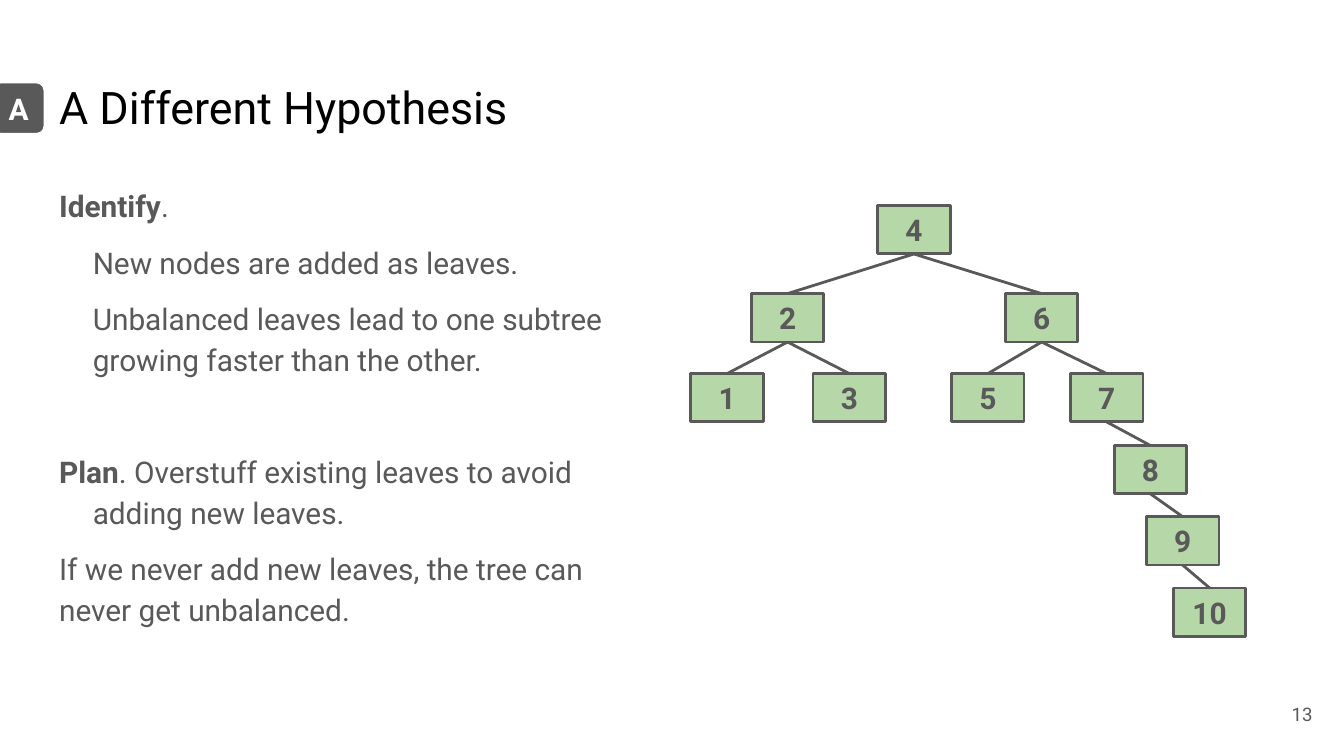
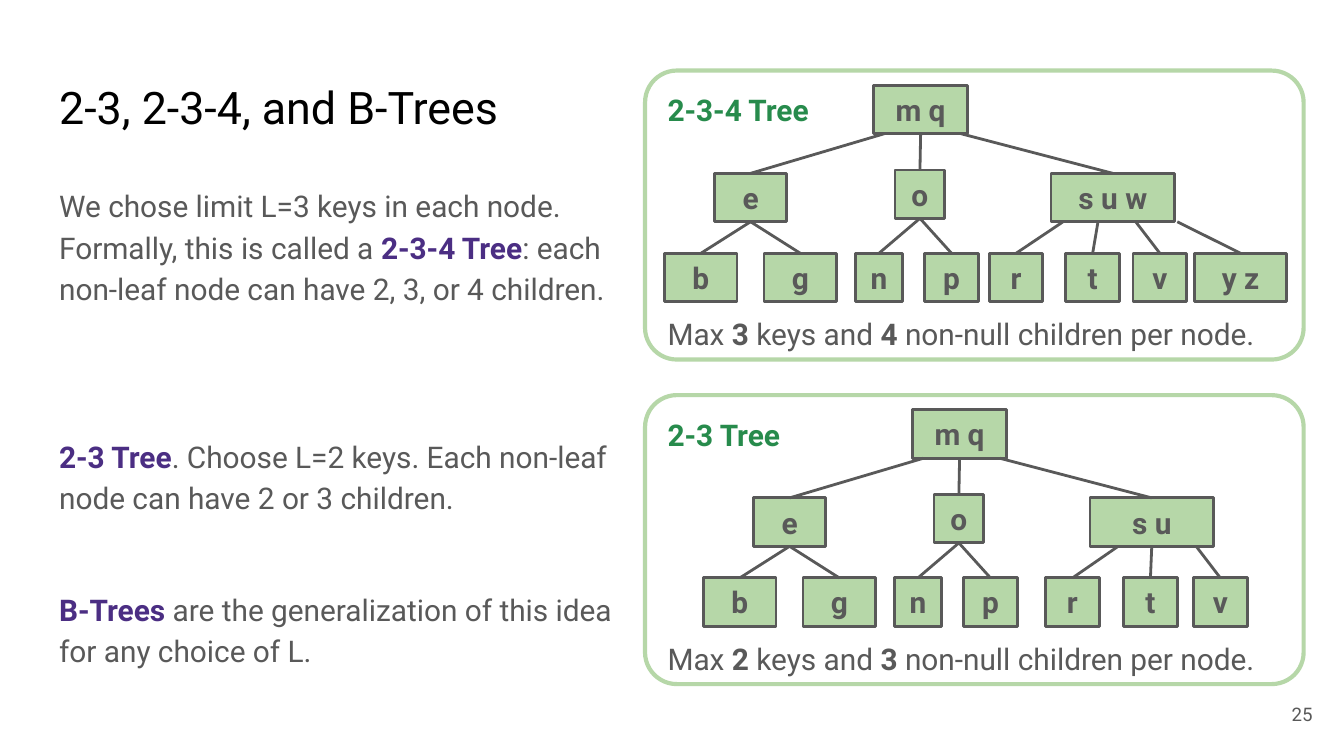
import collections

import lxml.etree
import pptx
import pptx.dml.color
import pptx.enum.shapes
import pptx.enum.text
import pptx.oxml.ns
import pptx.util

RGB = pptx.dml.color.RGBColor
ALIGN = pptx.enum.text.PP_ALIGN
ANCHOR = pptx.enum.text.MSO_ANCHOR
SHAPE = pptx.enum.shapes.MSO_SHAPE
Pt = pptx.util.Pt
qn = pptx.oxml.ns.qn

BLACK = RGB(0x00, 0x00, 0x00)
WHITE = RGB(0xFF, 0xFF, 0xFF)
GRAY = RGB(0x59, 0x59, 0x59)
LIGHT_GREEN = RGB(0xB6, 0xD7, 0xA8)
GREEN = RGB(0x27, 0x8B, 0x4C)
PURPLE = RGB(0x4B, 0x2E, 0x83)

FONT = "Roboto"
EMU_PER_PX = 4572  # 200 px to the inch
SLIDE_W, SLIDE_H = 2000, 1125
TITLE_BOX = (68, 98, 864, 126)
BODY_BOX = (68, 252, 864, 748)
NUMBER_BOX = (1853, 1020, 120, 86)
BADGE_BOX = (-12, 121, 80, 80)
PANEL_W, PANEL_H = 980, 430
NODE_H = 72
INDENT = 50
GAP = 8          # points between paragraphs
BLANK_LINE = 22  # points taken by one line of body text


def gap(lines):
    """Space before a paragraph that stands after some empty lines."""
    return GAP + lines * (BLANK_LINE + GAP)


# A node hangs from its parent; exit is the px from the parent's left edge
# where the line starts, or None for the middle.
Node = collections.namedtuple("Node", "label x y w parent exit",
                              defaults=(108, None, None))

SEARCH_TREE = [
    Node("4", 278, 0),
    Node("2", 90, 131, parent="4"),
    Node("6", 468, 131, parent="4"),
    Node("1", 0, 250, parent="2"),
    Node("3", 182, 250, parent="2"),
    Node("5", 388, 250, parent="6"),
    Node("7", 565, 250, parent="6"),
    Node("8", 630, 357, parent="7"),
    Node("9", 678, 463, parent="8"),
    Node("10", 718, 569, parent="9"),
]


def b_tree(shift, right_node, right_leaves):
    """Nodes of a panel's tree; only the right subtree differs by panel."""
    leaf_y = 272
    return [
        Node("m q", 340 + shift, 22, 140),
        Node("e", 103 + shift, 153, parent="m q", exit=16),
        Node("o", 372 + shift, 148, 74, parent="m q"),
        Node(right_node, 604 + shift, 153, 184, parent="m q", exit=130),
        Node("b", 29 + shift, leaf_y, parent="e"),
        Node("g", 177 + shift, leaf_y, parent="e"),
        Node("n", 313 + shift, leaf_y, 70, parent="o"),
        Node("p", 416 + shift, leaf_y, 80, parent="o"),
    ] + [Node(label, x, leaf_y, w, right_node, start)
         for label, x, w, start in right_leaves]


TREE_234 = b_tree(0, "s u w", [("r", 512, 80, 18), ("t", 626, 80, 70),
                               ("v", 726, 80, 126), ("y z", 818, 136, 188)])
TREE_23 = b_tree(58, "s u", [("r", 596, 80, 42), ("t", 712, 80, None),
                             ("v", 816, 80, 158)])


def px(*values):
    return [v * EMU_PER_PX for v in values]


def setup_frame(shape, anchor=ANCHOR.TOP, inset_y=20):
    tf = shape.text_frame
    tf.word_wrap = True
    tf.auto_size = pptx.enum.text.MSO_AUTO_SIZE.NONE
    tf.vertical_anchor = anchor
    tf.margin_left, tf.margin_right = px(20, 20)
    tf.margin_top, tf.margin_bottom = px(inset_y, inset_y)
    return tf


def add_text(tf, text, size=16, color=GRAY, bold=False, bold_color=None,
             align=ALIGN.LEFT, spacing=None, before=0, left=0, hang=0):
    """Add one paragraph; parts between ** are bold, in bold_color if given."""
    p = tf.paragraphs[0]
    if p.runs:
        p = tf.add_paragraph()
    pPr = p._p.get_or_add_pPr()
    pPr.set("marL", str(left * EMU_PER_PX))
    pPr.set("indent", str(-hang * EMU_PER_PX))
    lxml.etree.SubElement(pPr, qn("a:buNone"))
    p.alignment = align
    p.space_before = Pt(before)
    if spacing:
        p.line_spacing = spacing
    for i, part in enumerate(text.split("**")):
        if not part:
            continue
        marked = i % 2 == 1
        r = p.add_run()
        r.text = part
        r.font.name = FONT
        r.font.size = Pt(size)
        r.font.bold = bold or marked
        r.font.color.rgb = bold_color if marked and bold_color else color


def add_box(shapes, kind, box, fill, line, weight):
    sp = shapes.add_shape(kind, *px(*box))
    sp.shadow.inherit = False
    if fill is None:
        sp.fill.background()
    else:
        sp.fill.solid()
        sp.fill.fore_color.rgb = fill
    sp.line.color.rgb = line
    sp.line.width = Pt(weight)
    return sp


def add_edge(shapes, parent, child, start):
    x1 = parent.left + (parent.width // 2 if start is None
                        else start * EMU_PER_PX)
    line = shapes.add_connector(
        pptx.enum.shapes.MSO_CONNECTOR.STRAIGHT, x1,
        parent.top + parent.height, child.left + child.width // 2, child.top)
    if start is None:
        line.begin_connect(parent, 2)
    line.end_connect(child, 0)
    line.line.color.rgb = GRAY
    line.line.width = Pt(1.5)
    lxml.etree.SubElement(line._element.spPr, qn("a:effectLst"))


def draw_tree(shapes, left, top, nodes):
    drawn = {}
    for node in nodes:
        box = (left + node.x, top + node.y, node.w, NODE_H)
        sp = add_box(shapes, SHAPE.RECTANGLE, box, LIGHT_GREEN, GRAY, 1.5)
        add_text(setup_frame(sp, ANCHOR.MIDDLE), node.label, bold=True,
                 align=ALIGN.CENTER)
        drawn[node.label] = sp
    for node in nodes:
        if node.parent:
            add_edge(shapes, drawn[node.parent], drawn[node.label], node.exit)


def draw_panel(s, left, top, heading, caption, nodes):
    shapes = s.shapes.add_group_shape().shapes
    panel = add_box(shapes, SHAPE.ROUNDED_RECTANGLE,
                    (left, top, PANEL_W, PANEL_H), None, LIGHT_GREEN, 2.25)
    panel.adjustments[0] = 0.11
    tf = setup_frame(panel, inset_y=10)
    add_text(tf, heading, color=GREEN, bold=True, spacing=1.15)
    add_text(tf, caption, spacing=1.15, before=gap(3))
    draw_tree(shapes, left, top, nodes)


def draw_badge(s, letter):
    badge = add_box(s.shapes, SHAPE.ROUNDED_RECTANGLE, BADGE_BOX, GRAY,
                    WHITE, 2.25)
    badge.adjustments[0] = 0.167
    add_text(setup_frame(badge, ANCHOR.MIDDLE), letter, color=WHITE,
             bold=True, align=ALIGN.CENTER)


def place(sp, box):
    sp.left, sp.top, sp.width, sp.height = px(*box)


def add_slide(prs, title, number, paragraphs, accent=GRAY):
    """Add a slide with title, body paragraphs (text, format) and number."""
    s = prs.slides.add_slide(prs.slide_layouts[1])
    place(s.shapes.title, TITLE_BOX)
    add_text(setup_frame(s.shapes.title), title, size=24, color=BLACK)

    body = s.placeholders[1]
    place(body, BODY_BOX)
    tf = setup_frame(body)
    for text, fmt in paragraphs:
        add_text(tf, text, spacing=1.15, bold_color=accent, **fmt)

    number_box = s.shapes.add_textbox(*px(*NUMBER_BOX))
    add_text(setup_frame(number_box, ANCHOR.MIDDLE), str(number), size=10,
             align=ALIGN.RIGHT)
    return s


def hypothesis_slide(prs):
    hanging = {"left": INDENT, "hang": INDENT}
    indented = {"left": INDENT, "before": GAP}
    s = add_slide(prs, "A Different Hypothesis", 13, [
        ("**Identify**.", hanging),
        ("New nodes are added as leaves.", indented),
        ("Unbalanced leaves lead to one subtree growing faster than the "
         "other.", indented),
        ("**Plan**. Overstuff existing leaves to avoid adding new leaves.",
         {**hanging, "before": gap(1)}),
        ("If we never add new leaves, the tree can never get unbalanced.",
         {"before": GAP}),
    ])
    draw_badge(s, "A")
    draw_tree(s.shapes.add_group_shape().shapes, 1028, 306, SEARCH_TREE)


def b_trees_slide(prs):
    s = add_slide(prs, "2-3, 2-3-4, and B-Trees", 25, [
        ("We chose limit L=3 keys in each node. Formally, this is called a "
         "**2-3-4 Tree**: each non-leaf node can have 2, 3, or 4 children.",
         {}),
        ("**2-3 Tree**. Choose L=2 keys. Each non-leaf node can have 2 or 3 "
         "children.", {"before": gap(2)}),
        ("**B-Trees** are the generalization of this idea for any choice of "
         "L.", {"before": gap(1)}),
    ], accent=PURPLE)
    caption = "Max **{}** keys and **{}** non-null children per node."
    draw_panel(s, 960, 105, "2-3-4 Tree", caption.format(3, 4), TREE_234)
    draw_panel(s, 960, 588, "2-3 Tree", caption.format(2, 3), TREE_23)


def main():
    prs = pptx.Presentation()
    prs.slide_width, prs.slide_height = px(SLIDE_W, SLIDE_H)
    hypothesis_slide(prs)
    b_trees_slide(prs)
    prs.save("out.pptx")


if __name__ == "__main__":
    main()
